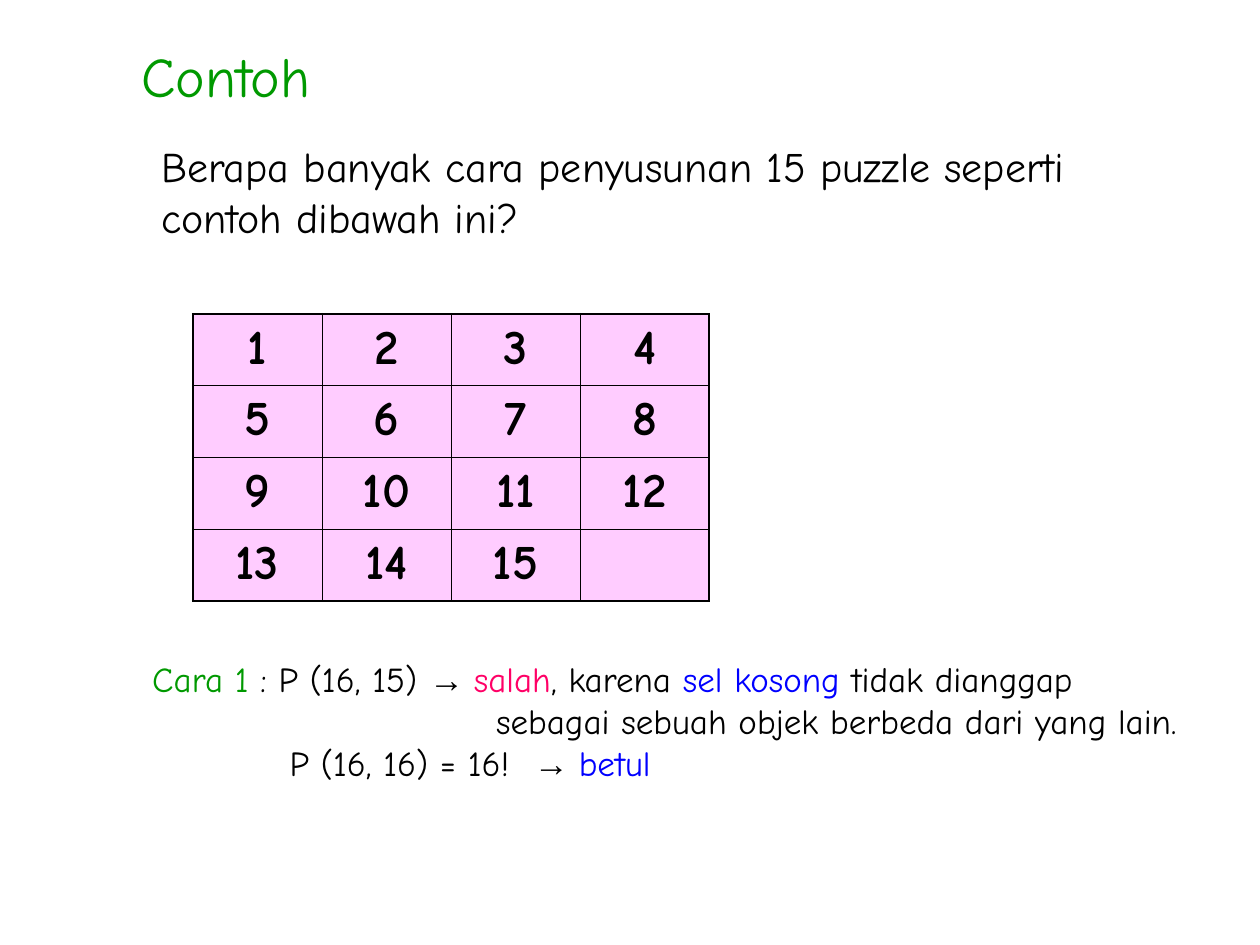
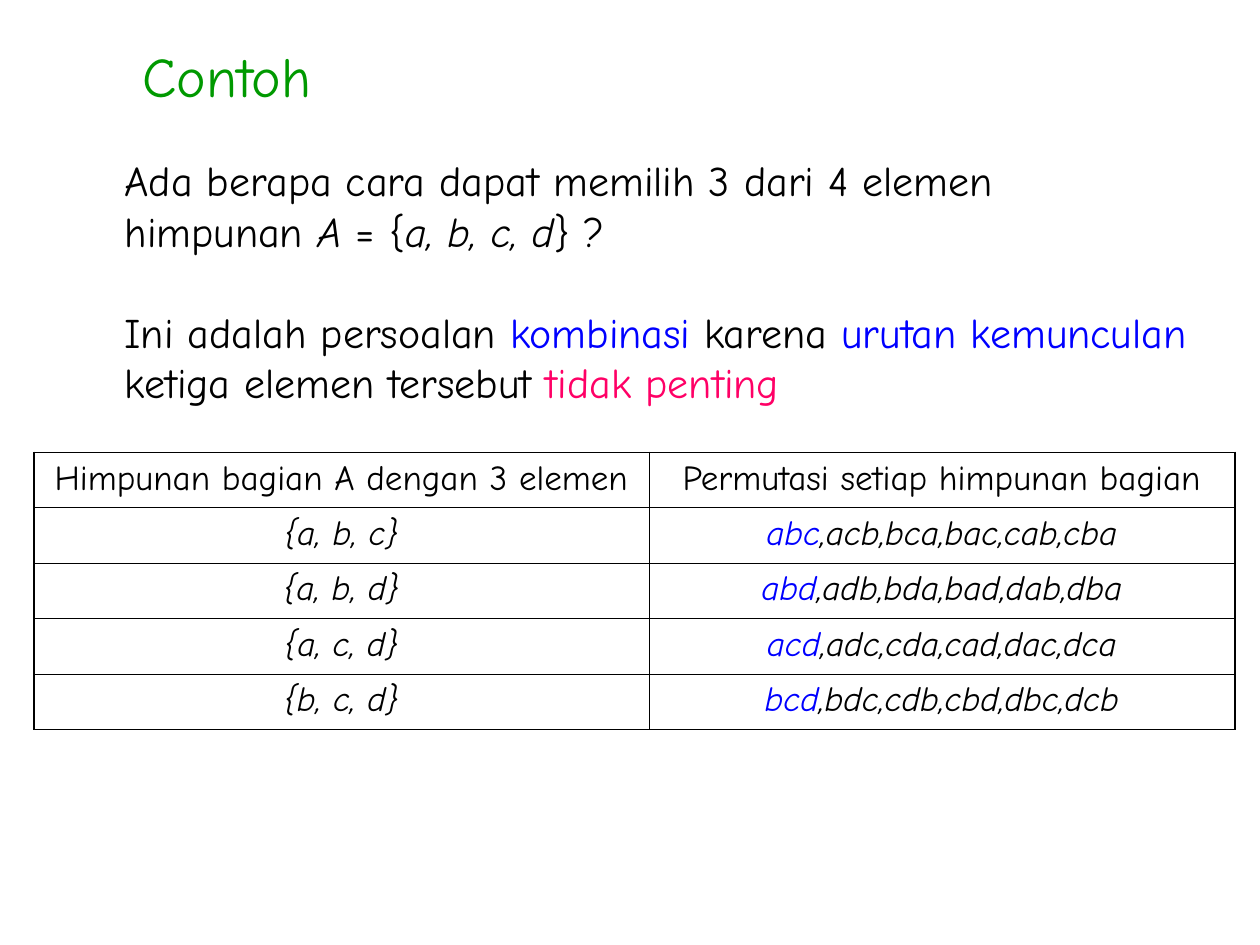
from lxml.etree import SubElement
from pptx import Presentation
from pptx.dml.color import RGBColor
from pptx.enum.text import MSO_ANCHOR, PP_ALIGN
from pptx.oxml.ns import qn
from pptx.util import Inches, Pt

FONT, ARROW_FONT = "Comic Neue", "Arial"
BLACK, GREEN, BLUE, RED, PINK = "000000", "009900", "0000FF", "FF0066", "FFCCFF"
OUTER, INNER = 1.08, 0.45  # table border widths in points

# Run styles; a plain string is an unstyled run
HEAD = {"color": GREEN}
KEY = {"color": BLUE}
WRONG = {"color": RED}
ITALIC = {"italic": True}
KEY_ITALIC = {"color": BLUE, "italic": True}
ARROW = ("→ ", {"name": ARROW_FONT})

# Content: each text is a list of paragraphs, each paragraph a list of runs
PUZZLE_QUESTION = [
    ["Berapa banyak cara penyusunan 15 puzzle seperti"],
    ["contoh dibawah ini?"],
]
PUZZLE = [[[str(n) if n < 16 else ""] for n in range(first, first + 4)]
          for first in range(1, 17, 4)]
PUZZLE_ANSWER = [
    [("Cara 1", HEAD), " : P (16, 15) ", ARROW, ("salah", WRONG), ", karena ",
     ("sel kosong", KEY), " tidak dianggap"],
    ["\tsebagai sebuah objek berbeda dari yang lain."],
    ["\tP (16, 16) = 16!\t", ARROW, ("betul", KEY)],
]
ANSWER_TABS = {1: [2.73], 2: [1.09, 3.03]}

SUBSET_QUESTION = [
    ["Ada berapa cara dapat memilih 3 dari 4 elemen"],
    ["himpunan ", ("A", ITALIC), " = {", ("a, b, c, d", ITALIC), "} ?"],
    ["Ini adalah persoalan ", ("kombinasi", KEY), " karena ",
     ("urutan kemunculan", KEY)],
    ["ketiga elemen tersebut ", ("tidak penting", WRONG)],
]
SUBSETS = [
    ("{a, b, c}", "abc", ",acb,bca,bac,cab,cba"),
    ("{a, b, d}", "abd", ",adb,bda,bad,dab,dba"),
    ("{a, c, d}", "acd", ",adc,cda,cad,dac,dca"),
    ("{b, c, d}", "bcd", ",bdc,cdb,cbd,dbc,dcb"),
]
SUBSET_ROWS = [[["Himpunan bagian A dengan 3 elemen"],
                ["Permutasi setiap himpunan bagian"]]]
SUBSET_ROWS += [[[(subset, ITALIC)], [(chosen, KEY_ITALIC), (others, ITALIC)]]
                for subset, chosen, others in SUBSETS]


def rgb(color):
    return RGBColor.from_string(color)


def write(p, runs, size, color=BLACK, bold=False, tabs=()):
    """Fill one paragraph with runs, after its tab stops."""
    if tabs:
        tab_list = SubElement(p._p.get_or_add_pPr(), qn("a:tabLst"))
        for pos in tabs:
            SubElement(tab_list, qn("a:tab"), pos=str(Inches(pos)), algn="l")
    p.font.size, p.font.name, p.font.bold = Pt(size), FONT, bold
    p.font.color.rgb = rgb(color)
    for run in runs:
        text, style = (run, {}) if isinstance(run, str) else run
        r = p.add_run()
        r.text = text
        if "color" in style:
            r.font.color.rgb = rgb(style["color"])
        if "italic" in style:
            r.font.italic = True
        if "name" in style:
            r.font.name = style["name"]


def place(sp, left, top, width, height):
    sp.left, sp.top = Inches(left), Inches(top)
    sp.width, sp.height = Inches(width), Inches(height)


def add_slide(prs, title_left):
    """Title-only slide with the shared green heading."""
    s = prs.slides.add_slide(prs.slide_layouts[5])
    title = s.shapes.title
    place(title, title_left, 0.28, 1.85, 0.64)
    tf = title.text_frame
    tf.vertical_anchor = MSO_ANCHOR.TOP
    p = tf.paragraphs[0]
    p.alignment = PP_ALIGN.LEFT
    write(p, ["Contoh"], 32, GREEN)
    return s


def add_text(s, box, paragraphs, size, tabs={}, gaps={}):
    """Text box; tabs and gaps are keyed by paragraph index."""
    tf = s.shapes.add_textbox(*map(Inches, box)).text_frame
    tf.word_wrap = True
    for i, runs in enumerate(paragraphs):
        p = tf.add_paragraph() if i else tf.paragraphs[0]
        write(p, runs, size, tabs=tabs.get(i, ()))
        if i in gaps:
            p.space_before = Pt(gaps[i])


def set_border(cell, sides):
    tc_pr = cell._tc.get_or_add_tcPr()
    for side, is_outer in sides.items():
        ln = SubElement(tc_pr, qn(f"a:ln{side}"),
                        w=str(Pt(OUTER if is_outer else INNER)))
        fill = SubElement(ln, qn("a:solidFill"))
        SubElement(fill, qn("a:srgbClr"), val=BLACK)


def add_grid(s, left, top, col_widths, row_height, rows, size, fill=None, bold=False):
    """Centred table with a heavier outer border."""
    n_rows, n_cols = len(rows), len(col_widths)
    frame = s.shapes.add_table(n_rows, n_cols, Inches(left), Inches(top),
                               Inches(sum(col_widths)), Inches(row_height * n_rows))
    table = frame.table
    table.first_row = table.horz_banding = False
    for column, width in zip(table.columns, col_widths):
        column.width = Inches(width)
    for i, row in enumerate(rows):
        table.rows[i].height = Inches(row_height)
        for j, runs in enumerate(row):
            cell = table.cell(i, j)
            set_border(cell, {"L": j == 0, "R": j == n_cols - 1,
                              "T": i == 0, "B": i == n_rows - 1})
            if fill:
                cell.fill.solid()
                cell.fill.fore_color.rgb = rgb(fill)
            else:
                cell.fill.background()
            p = cell.text_frame.paragraphs[0]
            p.alignment = PP_ALIGN.CENTER
            write(p, runs, size, bold=bold)


def main():
    prs = Presentation()
    prs.slide_width, prs.slide_height = Inches(10), Inches(7.5)

    # Slide 1: the 15 puzzle
    s = add_slide(prs, 1.02)
    add_text(s, (1.18, 1.07, 7.5, 0.9), PUZZLE_QUESTION, 24)
    add_grid(s, 1.53, 2.49, [4.1 / 4] * 4, 0.57, PUZZLE, 28, PINK, bold=True)
    add_text(s, (1.11, 5.17, 8.5, 1.1), PUZZLE_ANSWER, 20, tabs=ANSWER_TABS)

    # Slide 2: subsets and their permutations
    s = add_slide(prs, 1.03)
    add_text(s, (0.89, 1.18, 8.78, 2.1), SUBSET_QUESTION, 24, gaps={2: 29})
    add_grid(s, 0.27, 3.59, [4.88, 4.65], 0.44, SUBSET_ROWS, 20)

    prs.save("out.pptx")


if __name__ == "__main__":
    main()
